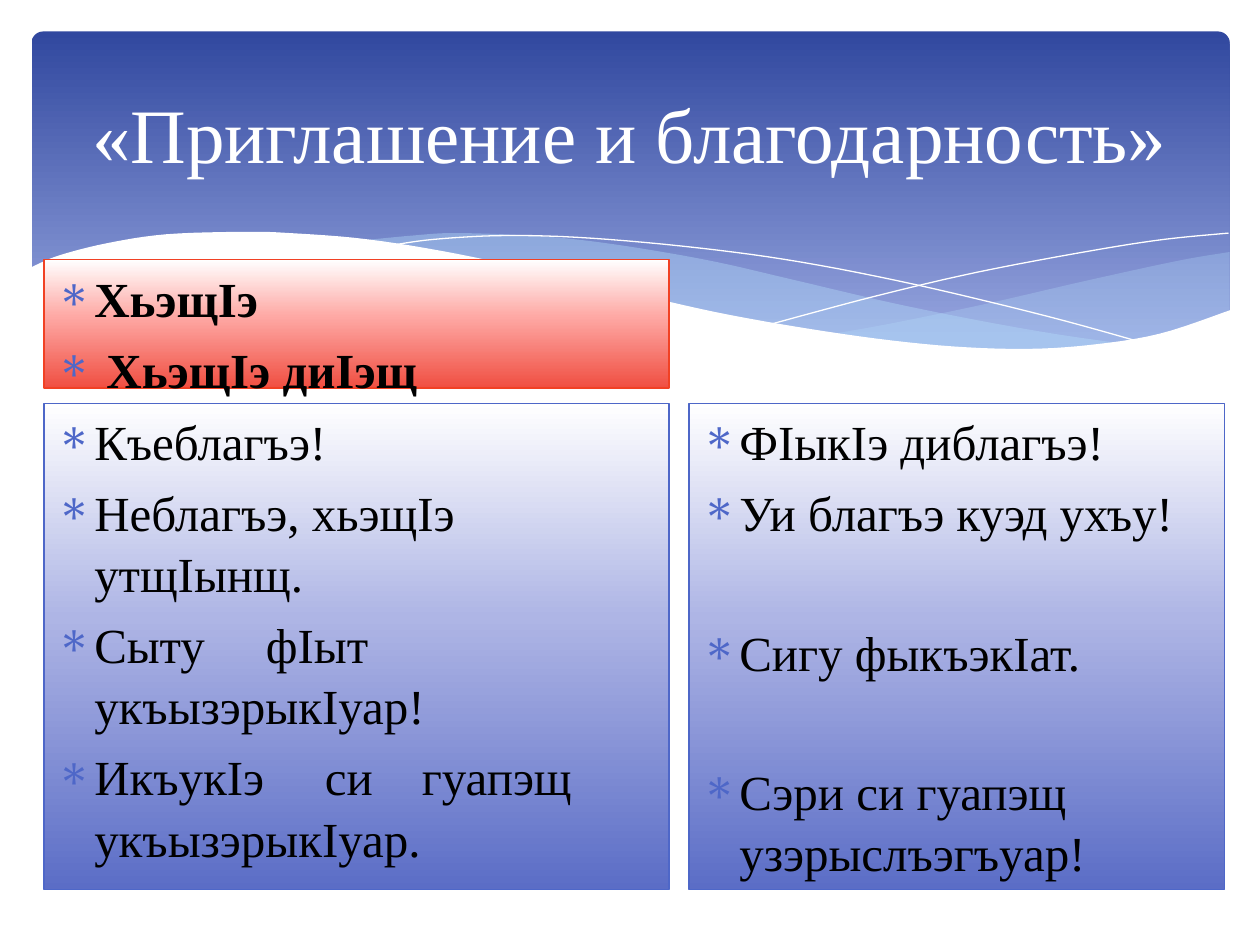
from dataclasses import dataclass

from lxml import etree
from pptx import Presentation
from pptx.dml.color import RGBColor
from pptx.enum.shapes import MSO_SHAPE
from pptx.enum.text import MSO_ANCHOR, PP_ALIGN
from pptx.oxml.ns import qn
from pptx.util import Pt

RECT, ROUND_RECT = MSO_SHAPE.RECTANGLE, MSO_SHAPE.ROUNDED_RECTANGLE
TOP, MIDDLE = MSO_ANCHOR.TOP, MSO_ANCHOR.MIDDLE
LEFT, CENTER = PP_ALIGN.LEFT, PP_ALIGN.CENTER


@dataclass(frozen=True)
class Theme:
    font: str = "Times New Roman"
    title_size: float = 44
    body_size: float = 28
    white: str = "FFFFFF"
    black: str = "000000"
    blue: str = "4E67C8"
    red: str = "F14124"
    wave: str = "B4DCFA"
    banner: tuple = ((0, "31489F"), (90, "95A4DE"))
    blue_fade: tuple = ((0, "FFFFFF"), (44, "AEB5E5"), (100, "5B6DC6"))
    red_fade: tuple = ((0, "FFFFFF"), (44, "FEA9A5"), (100, "F04F42"))


THEME = Theme()

# Wave outlines, in points from the banner's top left corner
FRONT_TOP = [(684.7, 126), (655.2, 131), (601.9, 142.6), (542.9, 156.2),
             (490.3, 167), (457.9, 172.8)]
FRONT_BOTTOM = [(457.9, 172.8), (489.6, 177.1), (527, 180.7), (560.2, 182.2),
                (596.9, 180.7), (633.6, 175.7), (660.2, 168.5), (684.7, 159.8)]
BACK_TOP = [(625, 178.6), (584.6, 172.8), (540, 164.9), (490.3, 154.8),
            (434.9, 141.8), (391.7, 131.8), (352.1, 124.6), (316.8, 119.5),
            (284.4, 116.6), (241.9, 115.2), (218.2, 116.6), (187.9, 119.5)]
BACK_BOTTOM = [(187.9, 119.5), (228.2, 125.3), (272.9, 133.9), (305.3, 141.8),
               (363.6, 154.8), (414.7, 165.6), (460.8, 173.5), (501.8, 179.3),
               (547.2, 182.2), (578.2, 182.2), (625, 178.6)]
FALLING_LINE = [(204.5, 122.4), (229.7, 118.8), (270.7, 116.6), (319.7, 118.1),
                (382.3, 123.8), (439.9, 131.8), (505.4, 144.7), (580.3, 162.7),
                (635, 177.8)]
RISING_LINE = [(423.4, 167), (482.4, 151.2), (540.7, 137.5), (605.5, 125.3),
               (647.3, 118.8), (684, 115.2)]
WHITE_EDGE = [(685.4, 159.1), (644.4, 172.8), (603.4, 179.3), (564.5, 181.4),
              (517.7, 179.3), (463, 172.8), (398.9, 162), (344.2, 149.8),
              (303.8, 140.4), (244.8, 127.4), (192.2, 118.8), (147.6, 115.2),
              (121, 114.5), (77, 115.9), (43.2, 121), (15.1, 128.2),
              (-1.4, 135.4)]
WHITE_BASE = [(-1.4, 218.9), (685.4, 218.9)]


def rgb(color):
    return RGBColor.from_string(color)


def smooth(points, steps=6):
    """Return points on a Catmull-Rom curve through the given points."""
    padded = [points[0], *points, points[-1]]
    curve = []
    for a, b, c, d in zip(padded, padded[1:], padded[2:], padded[3:]):
        for i in range(steps):
            t = i / steps
            curve.append(tuple(
                (2 * q + (r - p) * t + (2 * p - 5 * q + 4 * r - s) * t ** 2
                 + (3 * q - p - 3 * r + s) * t ** 3) / 2
                for p, q, r, s in zip(a, b, c, d)))
    return curve + [points[-1]]


def add_panel(slide, box, stops, line=None, shape=RECT):
    """Add a box with a gradient that runs from top to bottom."""
    sp = slide.shapes.add_shape(shape, *map(Pt, box))
    sp.shadow.inherit = False
    sp.fill.gradient()
    sp.fill.gradient_angle = 270
    stop_list = sp._element.spPr.find(qn("a:gradFill")).find(qn("a:gsLst"))
    for old in list(stop_list):
        stop_list.remove(old)
    for position, color in stops:
        gs = etree.SubElement(stop_list, qn("a:gs"), pos=str(position * 1000))
        etree.SubElement(gs, qn("a:srgbClr"), val=color)
    if line:
        sp.line.color.rgb = rgb(line)
        sp.line.width = Pt(0.75)
    else:
        sp.line.fill.background()
    return sp


def add_wave(slide, origin, points, fill=None, opacity=100):
    """Add a filled wave, or an open white hairline when there is no fill."""
    path = [(Pt(origin[0] + x), Pt(origin[1] + y)) for x, y in points]
    builder = slide.shapes.build_freeform(*path[0], scale=1.0)
    builder.add_line_segments(path[1:], close=bool(fill))
    sp = builder.convert_to_shape()
    sp.shadow.inherit = False
    if not fill:
        sp.fill.background()
        sp.line.color.rgb = rgb(THEME.white)
        sp.line.width = Pt(0)
        return
    sp.line.fill.background()
    sp.fill.solid()
    sp.fill.fore_color.rgb = rgb(fill)
    if opacity < 100:
        color = sp._element.spPr.find(qn("a:solidFill"))[0]
        etree.SubElement(color, qn("a:alpha"), val=str(opacity * 1000))


def add_bullet(p, tabs):
    pPr = p._p.get_or_add_pPr()
    indent = Pt(21.6)
    pPr.set("marL", str(indent))
    pPr.set("indent", str(-indent))
    color = etree.SubElement(pPr, qn("a:buClr"))
    etree.SubElement(color, qn("a:srgbClr"), val=THEME.blue)
    etree.SubElement(pPr, qn("a:buFont"), typeface="Symbol")
    etree.SubElement(pPr, qn("a:buChar"), char="∗")
    if tabs:
        tab_list = etree.SubElement(pPr, qn("a:tabLst"))
        for position in tabs:
            etree.SubElement(tab_list, qn("a:tab"), pos=str(Pt(position)), algn="l")


def write(p, text, size=THEME.body_size, color=THEME.black, bold=False,
          align=LEFT, bullet=False, tabs=(), before=0, spacing=None):
    if bullet:
        add_bullet(p, tabs)
    p.alignment = align
    p.space_before = Pt(before)
    if spacing:
        p.line_spacing = spacing
    r = p.add_run()
    r.text = text
    r.font.name = THEME.font
    r.font.size = Pt(size)
    r.font.bold = bold
    r.font.color.rgb = rgb(color)


def add_banner(slide, box):
    sp = add_panel(slide, box, THEME.banner, shape=ROUND_RECT)
    sp.adjustments[0] = 0.034
    origin = box[:2]
    add_wave(slide, origin, smooth(FRONT_TOP) + smooth(FRONT_BOTTOM), THEME.wave, 29)
    add_wave(slide, origin, smooth(BACK_TOP) + smooth(BACK_BOTTOM), THEME.wave, 40)
    add_wave(slide, origin, smooth(FALLING_LINE))
    add_wave(slide, origin, smooth(RISING_LINE))
    add_wave(slide, origin, smooth(WHITE_EDGE) + WHITE_BASE, THEME.white)


def add_title(slide, box, text):
    tf = slide.shapes.add_textbox(*map(Pt, box)).text_frame
    tf.word_wrap = True
    tf.vertical_anchor = MIDDLE
    write(tf.paragraphs[0], text, size=THEME.title_size, color=THEME.white,
          align=CENTER)


def add_phrases(slide, box, phrases, stops, line, bold=False):
    """Add a panel of bullets; each phrase is (text, extra gap, tab stops)."""
    tf = add_panel(slide, box, stops, line).text_frame
    tf.word_wrap = True
    tf.vertical_anchor = TOP
    for i, (text, gap, tabs) in enumerate(phrases):
        p = tf.add_paragraph() if i else tf.paragraphs[0]
        write(p, text, bold=bold, bullet=True, tabs=tabs,
              before=5.6 + gap if i else 0, spacing=1.04)


def main():
    prs = Presentation()
    prs.slide_width, prs.slide_height = Pt(720), Pt(540)
    slide = prs.slides.add_slide(prs.slide_layouts[6])

    add_banner(slide, (18, 18, 684.7, 194.4))
    add_title(slide, (36, 26.6, 648, 98.6), "«Приглашение и благодарность»")
    add_phrases(slide, (25.2, 230.4, 357.1, 277.9), [
        ("Къеблагъэ!", 0, ()),
        ("Неблагъэ, хьэщIэ утщIынщ.", 0, ()),
        ("Сыту\tфIыт укъызэрыкIуар!", 0, (119.7,)),
        ("ИкъукIэ\tси\tгуапэщ укъызэрыкIуар.", 0, (153.4, 208.8)),
    ], THEME.blue_fade, THEME.blue)
    add_phrases(slide, (393.8, 230.4, 306, 277.9), [
        ("ФIыкIэ диблагъэ!", 0, ()),
        ("Уи благъэ куэд ухъу!", 0, ()),
        ("Сигу фыкъэкIат.", 39.1, ()),
        ("Сэри си гуапэщ узэрыслъэгъуар!", 39.1, ()),
    ], THEME.blue_fade, THEME.blue)
    add_phrases(slide, (25.2, 148.3, 357.1, 73.4), [
        ("ХьэщIэ", 0, ()),
        (" ХьэщIэ диIэщ", 0, ()),
    ], THEME.red_fade, THEME.red, bold=True)
    prs.save("out.pptx")


if __name__ == "__main__":
    main()
